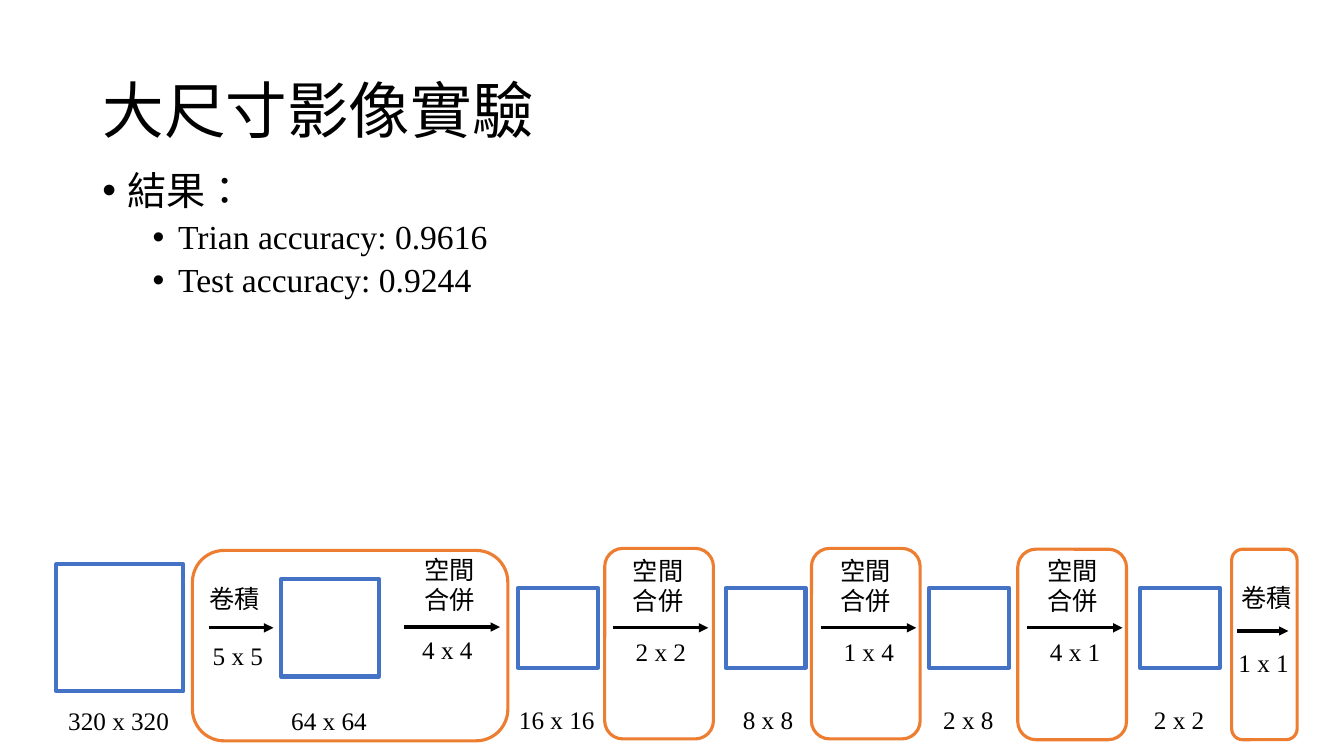
"""Build the slide on the large-image experiment with its network pipeline."""
import pptx
import pptx.dml.color
import pptx.enum.lang
import pptx.enum.shapes
import pptx.enum.text
import pptx.oxml.ns
import pptx.util
from lxml import etree

Cm, Pt = pptx.util.Cm, pptx.util.Pt
qn = pptx.oxml.ns.qn
SHAPES = pptx.enum.shapes.MSO_SHAPE
COLORS = {"text": "000000", "image": "4472C4", "layer": "ED7D31"}
LATIN, CJK = "Times New Roman", "Noto Sans CJK SC"


def write(paragraph, text, size=18, font=LATIN, spacing=None, before=0, indent=None):
    run = paragraph.add_run()
    run.text = text
    run.font.size = Pt(size)
    run.font.name = font
    run.font.language_id = pptx.enum.lang.MSO_LANGUAGE_ID.TRADITIONAL_CHINESE
    run.font.color.rgb = pptx.dml.color.RGBColor.from_string(COLORS["text"])
    etree.SubElement(run.font._element, qn("a:ea"), typeface=CJK)
    paragraph.alignment = pptx.enum.text.PP_ALIGN.LEFT
    paragraph.line_spacing = spacing
    paragraph.space_before = Pt(before)
    if indent is not None:
        properties = paragraph._p.get_or_add_pPr()
        properties.set("marL", str(Cm(indent)))
        properties.set("indent", str(-Cm(0.64)))
        etree.SubElement(properties, qn("a:buFont"), typeface="Arial")
        etree.SubElement(properties, qn("a:buChar"), char="•")


def add_outline(kind, left, top, width, height, color, weight):
    outline = slide.shapes.add_shape(kind, Cm(left), Cm(top), Cm(width), Cm(height))
    outline.shadow.inherit = False
    outline.fill.background()
    outline.line.color.rgb = pptx.dml.color.RGBColor.from_string(COLORS[color])
    outline.line.width = Pt(weight)


deck = pptx.Presentation()
deck.slide_width, deck.slide_height = Cm(33.87), Cm(19.05)
slide = deck.slides.add_slide(deck.slide_layouts[5])

title = slide.shapes.title
title.left, title.top, title.width, title.height = Cm(2.33), Cm(1.01), Cm(29.21), Cm(3.68)
title.text_frame.vertical_anchor = pptx.enum.text.MSO_ANCHOR.MIDDLE
write(title.text_frame.paragraphs[0], "大尺寸影像實驗", size=44, font=CJK, spacing=0.9)

results = slide.shapes.add_textbox(Cm(2.33), Cm(4.19), Cm(29.21), Cm(4.04)).text_frame
results.word_wrap = True
write(results.paragraphs[0], "結果：", size=28, font=CJK, spacing=0.9, before=10, indent=0.64)
for score in ("Trian accuracy: 0.9616", "Test accuracy: 0.9244"):
    finding = results.add_paragraph()
    finding.level = 1
    write(finding, score, size=24, spacing=0.9, before=5, indent=1.91)

labels = []

image_middle = 15.82
for size_text, left, side, label_left, label_top, label_width in (
    ("320 x 320", 1.42, 3.2, 1.47, 17.65, 3.12),
    ("64 x 64", 7.09, 2.46, 7.09, 17.65, 2.46),
    ("16 x 16", 13.06, 2.01, 12.83, 17.63, 2.46),
    ("8 x 8", 18.29, 2.01, 18.47, 17.63, 1.96),
    ("2 x 8", 23.42, 2.01, 23.52, 17.63, 1.96),
    ("2 x 2", 28.73, 2.01, 28.83, 17.63, 1.96),
):
    add_outline(SHAPES.RECTANGLE, left, image_middle - side / 2, side, side, "image", 3)
    labels.append((size_text, label_left, label_top, label_width, 1.02))

for left, top, width in (
    (4.85, 13.87, 7.95),
    (15.24, 13.82, 2.74),
    (20.45, 13.82, 2.74),
    (25.65, 13.84, 2.74),
    (31.04, 13.84, 1.65),
):
    add_outline(SHAPES.ROUNDED_RECTANGLE, left, top, width, 4.8, "layer", 2.25)

for step, kernel, start, length, arrow_y, step_left, step_top, kernel_left, kernel_top in (
    ("卷積", "5 x 5", 5.26, 1.63, 15.82, 5.03, 14.58, 5.11, 16.0),
    ("空間合併", "4 x 4", 10.19, 2.41, 15.8, 10.44, 13.84, 10.39, 15.85),
    ("空間合併", "2 x 2", 15.44, 2.41, 15.82, 15.7, 13.87, 15.77, 15.9),
    ("空間合併", "1 x 4", 20.68, 2.41, 15.82, 20.93, 13.87, 21.01, 15.9),
    ("空間合併", "4 x 1", 25.88, 2.41, 15.82, 26.14, 13.87, 26.21, 15.9),
    ("卷積", "1 x 1", 31.17, 1.3, 15.9, 31.04, 14.55, 30.96, 16.18),
):
    arrow = slide.shapes.add_connector(
        pptx.enum.shapes.MSO_CONNECTOR.STRAIGHT,
        Cm(start), Cm(arrow_y), Cm(start + length), Cm(arrow_y),
    )
    arrow.line.color.rgb = pptx.dml.color.RGBColor.from_string(COLORS["text"])
    arrow.line.width = Pt(2.25)
    etree.SubElement(arrow.line._get_or_add_ln(), qn("a:tailEnd"), type="triangle")
    etree.SubElement(arrow._element.spPr, qn("a:effectLst"))
    step_height = 1.8 if step == "空間合併" else 1.02
    labels.append((step, step_left, step_top, 2.03 if step == "空間合併" else 1.87, step_height))
    labels.append((kernel, kernel_left, kernel_top, 2.03, 1.02))

for text, left, top, width, height in labels:
    label = slide.shapes.add_textbox(Cm(left), Cm(top), Cm(width), Cm(height)).text_frame
    label.word_wrap = True
    label.auto_size = pptx.enum.text.MSO_AUTO_SIZE.SHAPE_TO_FIT_TEXT
    write(label.paragraphs[0], text)

deck.save("out.pptx")
